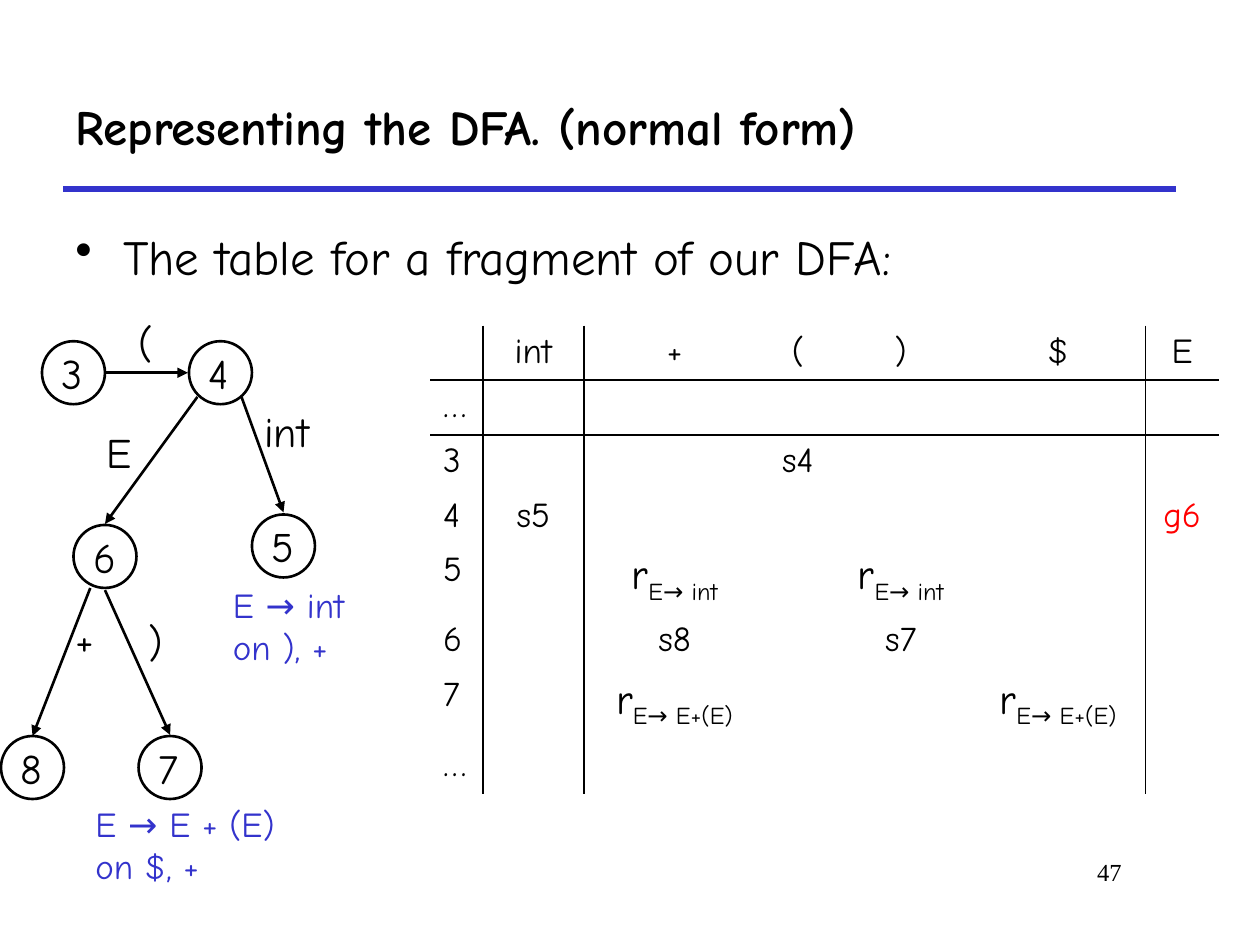
from lxml import etree
from pptx import Presentation
from pptx import util as u
from pptx.dml.color import RGBColor
from pptx.enum import shapes, text
from pptx.oxml import ns

# Content; every length is in grid units, 120 columns by 90 rows
UNIT = u.Inches(10) / 120
FONT, ARROW_FONT = "Comic Neue", "Roboto"
BLACK, BLUE, RED = "000000", "3333CC", "FF0000"
TITLE = "Representing the DFA. (normal form)"
BULLET = "The table for a fragment of our DFA:"

COLS = [5, 9.6, 17.3, 6.2, 13.4, 16.6, 7]
ROWS = [5.2, 5.2, 5.2, 5.2, 6, 5.2, 6, 5.2]
RULED_COLS, RULED_ROWS = (0, 5), (0,)  # a rule follows these
REDUCE_INT, REDUCE_SUM = ("r", "E→ int"), ("r", "E→ E+(E)")  # base, subscript
CELLS = [
    ["", "int", "+", "(", ")", "$", "E"],
    ["…", "", "", "", "", "", ""],
    ["3", "", "", "s4", "", "", ""],
    ["4", "s5", "", "", "", "", "g6"],
    ["5", "", REDUCE_INT, "", REDUCE_INT, "", ""],
    ["6", "", "s8", "", "s7", "", ""],
    ["7", "", REDUCE_SUM, "", "", REDUCE_SUM, ""],
    ["…", "", "", "", "", "", ""],
]

STATE_SIZE = 6
STATES = {"3": (4, 32.5), "4": (18, 32.5), "5": (24, 49),
          "6": (7, 50), "7": (13.2, 70.1), "8": (0.1, 70.1)}
EDGES = [  # start, end
    ((10.1, 35.5), (17.9, 35.5)),
    ((18.8, 37.8), (10, 49.9)),
    ((23, 37.8), (27, 48.8)),
    ((10, 56.2), (16.2, 70)),
    ((8.6, 56), (3.1, 70.1)),
]
EDGE_LABELS = [("(", 12, 29.6, 3.8), ("E", 9, 40, 4.9), ("int", 24, 38, 7.6),
               (")", 13, 58, 3.8), ("+", 6, 57.8, 4.3)]  # text, left, top, width
REDUCTIONS = [(["E → int", "on ), +"], (21, 55, 14, 9.2)),
              (["E → E + (E)", "on $, +"], (7.9, 75.8, 20, 9.2))]


def grid(*values):
    return [u.Emu(round(v * UNIT)) for v in values]


def rgb(color):
    return RGBColor.from_string(color)


def add_xml(parent, tag, **attrs):
    return etree.SubElement(parent, ns.qn(tag), attrs)


def add_runs(p, content, size, color=BLACK, name=FONT, bold=False, sub=False):
    """Write content, giving each arrow the arrow font."""
    for i, part in enumerate(content.split("→")):
        for piece, face in (("→" if i else "", ARROW_FONT), (part, name)):
            if not piece:
                continue
            r = p.add_run()
            r.text = piece
            r.font.color.rgb = rgb(color)
            style = {"size": u.Pt(size), "name": face, "bold": bold}
            for key, value in style.items():
                setattr(r.font, key, value)
            if sub:
                r.font._element.set("baseline", "-25000")


def add_text(box, lines, size, wrap=True, align=text.PP_ALIGN.LEFT,
             anchor=text.MSO_ANCHOR.TOP, **style):
    tf = s.shapes.add_textbox(*grid(*box)).text_frame
    tf.word_wrap, tf.vertical_anchor = wrap, anchor
    for i, line in enumerate(lines):
        p = tf.add_paragraph() if i else tf.paragraphs[0]
        p.alignment = align
        add_runs(p, line, size, **style)
    return tf


def add_line(start, end, color, width, arrow=False):
    line = s.shapes.add_connector(shapes.MSO_CONNECTOR.STRAIGHT, *grid(*start, *end))
    line.line.color.rgb, line.line.width = rgb(color), u.Pt(width)
    if arrow:
        add_xml(line.line._get_or_add_ln(), "a:tailEnd", type="triangle")
    add_xml(line._element.spPr, "a:effectLst")


def add_border(cell, side):
    ln = add_xml(cell._tc.get_or_add_tcPr(), "a:ln" + side, w=str(u.Pt(1)))
    add_xml(add_xml(ln, "a:solidFill"), "a:srgbClr", val=BLACK)


prs = Presentation()
prs.slide_width, prs.slide_height = grid(120, 90)
s = prs.slides.add_slide(prs.slide_layouts[6])

# Title, rule, page number
add_line((6, 18), (112, 18), BLUE, 3)
add_text((83, 81, 25, 6), ["47"], 14, align=text.PP_ALIGN.RIGHT, name="Times New Roman")
add_text((6, 6, 106, 12), [TITLE], 28, anchor=text.MSO_ANCHOR.MIDDLE, bold=True)

# Bullet
tf = add_text((6, 21, 109, 8), [BULLET], 28)
pPr = tf.paragraphs[0]._p.get_or_add_pPr()
indent = u.Inches(0.38)
pPr.set("marL", str(indent))
pPr.set("indent", str(-indent))
add_xml(pPr, "a:buChar", char="•")

# Parse table
tbl = s.shapes.add_table(len(ROWS), len(COLS),
                         *grid(41, 31, sum(COLS), sum(ROWS))).table
tbl.first_row = tbl.horz_banding = False
NO_STYLE = "{2D5ABB26-0587-4C30-8999-92F81FD0307C}"
tbl._tbl.tblPr.find(ns.qn("a:tableStyleId")).text = NO_STYLE
for col, width in zip(tbl.columns, grid(*COLS)):
    col.width = width
for row, height in zip(tbl.rows, grid(*ROWS)):
    row.height = height
for i, values in enumerate(CELLS):
    for j, value in enumerate(values):
        cell = tbl.cell(i, j)
        borders = {"L": j - 1 in RULED_COLS, "R": j in RULED_COLS,
                   "T": i - 1 in RULED_ROWS, "B": i in RULED_ROWS}
        for side, ruled in borders.items():
            if ruled:
                add_border(cell, side)
        cell.fill.background()
        p = cell.text_frame.paragraphs[0]
        p.alignment = text.PP_ALIGN.CENTER if j else text.PP_ALIGN.LEFT
        if isinstance(value, tuple):
            add_runs(p, value[0], 24)
            add_runs(p, value[1], 24, sub=True)
        elif value:
            add_runs(p, value, 20, RED if value.startswith("g") else BLACK)

# Automaton: edges, states, labels
for start, end in EDGES:
    add_line(start, end, BLACK, 1.5, arrow=True)
for name, (x, y) in STATES.items():
    add_text((x + 0.7, y, 4, STATE_SIZE), [name], 24)
    sp = s.shapes.add_shape(shapes.MSO_SHAPE.OVAL, *grid(x, y, STATE_SIZE, STATE_SIZE))
    sp.shadow.inherit = False
    sp.fill.background()
    sp.line.color.rgb, sp.line.width = rgb(BLACK), u.Pt(1.5)
for label, x, y, width in EDGE_LABELS:
    add_text((x, y, width, 6), [label], 24, wrap=False)
for lines, box in REDUCTIONS:
    add_text(box, lines, 20, wrap=False, color=BLUE)

prs.save("out.pptx")
